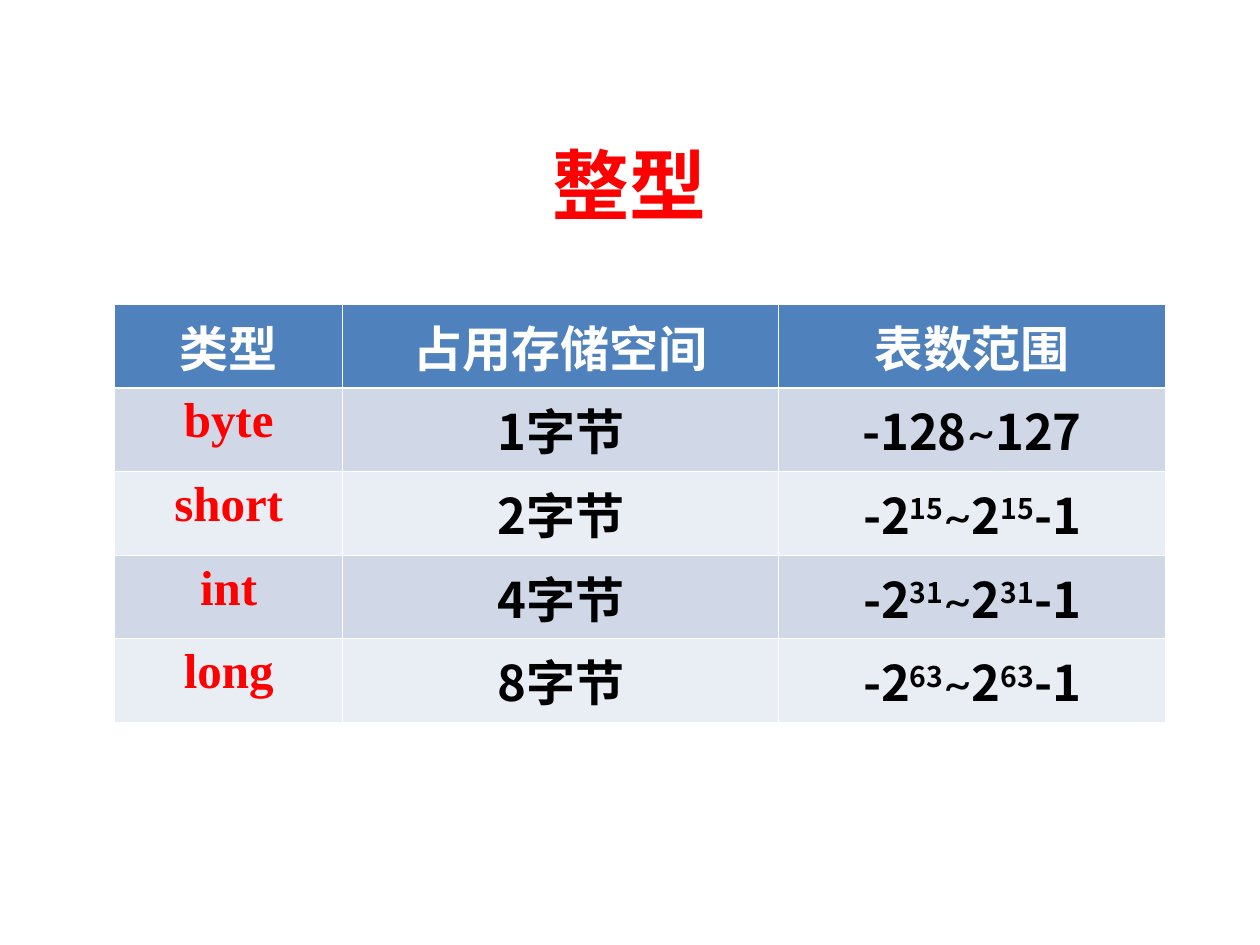
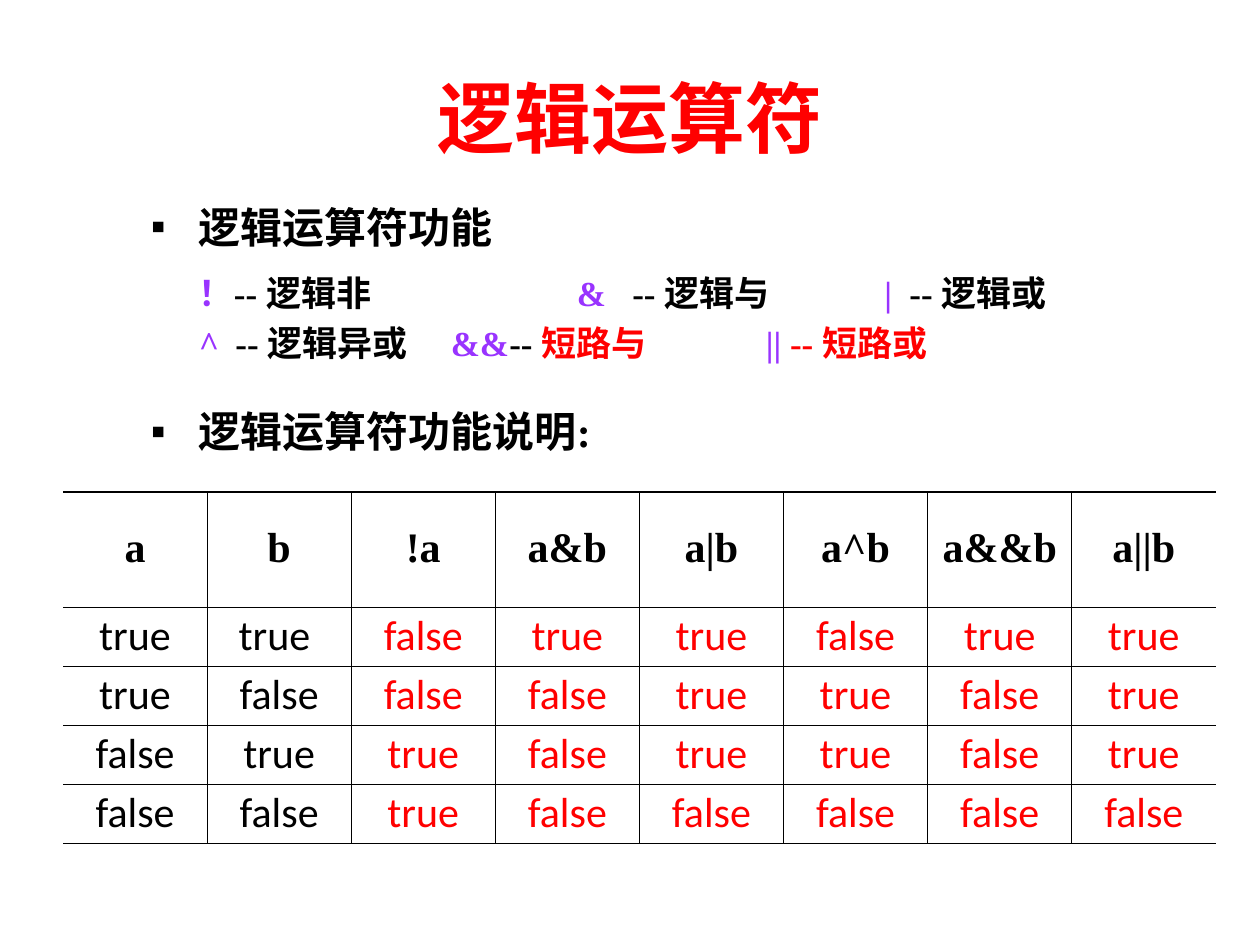
from collections import namedtuple
from lxml.etree import SubElement
from pptx import Presentation
from pptx.dml.color import RGBColor
from pptx.enum.text import MSO_ANCHOR as Anchor, PP_ALIGN as Align
from pptx.oxml.ns import qn
from pptx.util import Inches, Pt

COLORS = {
    "white": "FFFFFF", "black": "000000", "red": "FF0000", "purple": "9933FF",
    "header": "4F81BD", "odd": "D0D8E8", "even": "E9EDF4",
}
CJK, SERIF = "Noto Sans CJK SC", "Times New Roman"

# Run styles: font attributes, colour and superscript
STYLES = {
    "title": dict(name="TeX Gyre Pagella", size=44, bold=True, color="red"),
    "type header": dict(name=CJK, size=28, bold=True, color="white"),
    "type name": dict(name=SERIF, size=28, bold=True, color="red"),
    "type value": dict(name=CJK, size=28, bold=True, color="black"),
    "exponent": dict(name=CJK, size=28, bold=True, color="black", raised=True),
    "tilde": dict(name="Lato", size=28, bold=False, color="black"),
    "topic": dict(name=SERIF, size=24, bold=True, color="black"),
    "operator": dict(name=SERIF, size=20, bold=True, color="purple"),
    "meaning": dict(name=SERIF, size=20, bold=True, color="black"),
    "short circuit": dict(name=SERIF, size=20, bold=True, color="red"),
    "input": dict(name="Calibri", size=24, bold=False, color="black"),
    "result": dict(name="Calibri", size=24, bold=False, color="red"),
}

# The slide is a grid of 100 columns and 75 rows
SLIDE_WIDTH, SLIDE_HEIGHT = Inches(10), Inches(7.5)
COLUMN, ROW = SLIDE_WIDTH / 100, SLIDE_HEIGHT / 75
Box = namedtuple("Box", "left top width height")


def place(box):
    """Turn a box in grid units into slide lengths."""
    return [round(value * unit) for value, unit in zip(box, (COLUMN, ROW) * 2)]


def rgb(name):
    return RGBColor.from_string(COLORS[name])


# Text
def add_runs(paragraph, runs):
    for text, style in runs:
        run = paragraph.add_run()
        run.text = text
        values = dict(STYLES[style])
        run.font.color.rgb = rgb(values.pop("color"))
        properties = run._r.get_or_add_rPr()
        if values.pop("raised", False):
            properties.set("baseline", "30000")
        values["size"] = Pt(values["size"])
        for attribute, value in values.items():
            setattr(run.font, attribute, value)
        SubElement(properties, qn("a:ea"), typeface=CJK)


def add_bullet(paragraph, character, indent):
    properties = paragraph._p.get_or_add_pPr()
    properties.set("marL", str(Inches(indent)))
    properties.set("indent", str(-Inches(indent)))
    color = SubElement(properties, qn("a:buClr"))
    SubElement(color, qn("a:srgbClr"), val=COLORS["black"])
    SubElement(properties, qn("a:buFont"), typeface=SERIF)
    SubElement(properties, qn("a:buChar"), char=character)


def add_tab_stops(paragraph, positions):
    stops = SubElement(paragraph._p.get_or_add_pPr(), qn("a:tabLst"))
    for position in positions:
        SubElement(stops, qn("a:tab"), pos=str(Inches(position)), algn="l")


def add_title_slide(presentation, title, box):
    slide = presentation.slides.add_slide(presentation.slide_layouts[5])
    shape = slide.shapes.title
    shape.left, shape.top, shape.width, shape.height = place(box)
    shape.text_frame.vertical_anchor = Anchor.MIDDLE
    paragraph = shape.text_frame.paragraphs[0]
    paragraph.alignment = Align.CENTER
    add_runs(paragraph, [(title, "title")])
    return slide


# Tables
def set_borders(cell, borders):
    """Draw the sides given as (colour, points); None means no line."""
    properties = cell._tc.get_or_add_tcPr()
    for side in "LRTB":
        color, points = borders[side] or (None, 0)
        line = SubElement(properties, qn(f"a:ln{side}"), w=str(Pt(points)))
        if color:
            fill = SubElement(line, qn("a:solidFill"))
            SubElement(fill, qn("a:srgbClr"), val=COLORS[color])
        else:
            SubElement(line, qn("a:noFill"))


def add_grid_table(slide, box, rows, widths, heights, format_cell):
    """Widths and heights are shares of the box; cells hold lists of runs."""
    left, top, width, height = place(box)
    table = slide.shapes.add_table(len(rows), len(widths), left, top, width, height).table
    table.first_row = table.horz_banding = False
    for column, share in zip(table.columns, widths):
        column.width = round(width * share / sum(widths))
    for row, share in zip(table.rows, heights):
        row.height = round(height * share / sum(heights))
    for row_index, row in enumerate(rows):
        for column_index, runs in enumerate(row):
            cell = table.cell(row_index, column_index)
            paragraph = cell.text_frame.paragraphs[0]
            paragraph.alignment = Align.CENTER
            add_runs(paragraph, runs)
            format_cell(cell, row_index, column_index)


# Integer types
def power_range(exponent):
    return [("-2", "type value"), (exponent, "exponent"), ("~", "tilde"),
            ("2", "type value"), (exponent, "exponent"), ("-1", "type value")]


def format_type_cell(cell, row, column):
    thin, thick = ("white", 0.45), ("white", 1.47)
    set_borders(cell, {"L": thin, "R": thin, "T": thick if row == 1 else thin,
                       "B": thick if row == 0 else thin})
    cell.fill.solid()
    cell.fill.fore_color.rgb = rgb("header" if row == 0 else "odd" if row % 2 else "even")


def add_type_table(slide, box):
    byte_range = [("-128", "type value"), ("~", "tilde"), ("127", "type value")]
    types = [("byte", "1字节", byte_range), ("short", "2字节", power_range("15")),
             ("int", "4字节", power_range("31")), ("long", "8字节", power_range("63"))]
    rows = [[[(text, "type header")] for text in ("类型", "占用存储空间", "表数范围")]]
    rows += [[[(name, "type name")], [(size, "type value")], limits]
             for name, size, limits in types]
    add_grid_table(slide, box, rows, (1.81, 3.46, 3.07), [1] * 5, format_type_cell)


# Logical operators
def add_operator_list(slide, box):
    indent = 0.38
    lines = [
        dict(runs=[("逻辑运算符功能", "topic")]),
        dict(before=11, tabs=(indent, 3.38, 3.82, 5.82, 6.02), runs=[
            ("\t！", "operator"), ("-- 逻辑非\t", "meaning"),
            ("&", "operator"), ("\t-- 逻辑与\t", "meaning"),
            ("|", "operator"), ("\t-- 逻辑或", "meaning")]),
        dict(before=5, tabs=(indent, 0.67, 2.38, 4.88), runs=[
            ("\t^", "operator"), ("\t-- 逻辑异或\t", "meaning"),
            ("&&", "operator"), ("-- ", "meaning"), ("短路与\t", "short circuit"),
            ("|| ", "operator"), ("-- 短路或", "short circuit")]),
        dict(before=24, runs=[("逻辑运算符功能说明:", "topic")]),
    ]
    frame = slide.shapes.add_textbox(*place(box)).text_frame
    frame.word_wrap = True
    for index, line in enumerate(lines):
        paragraph = frame.add_paragraph() if index else frame.paragraphs[0]
        if "tabs" in line:
            add_tab_stops(paragraph, line["tabs"])
        else:
            add_bullet(paragraph, "▪", indent)
        paragraph.space_before = Pt(line.get("before", 0))
        add_runs(paragraph, line["runs"])


def format_truth_cell(cell, row, column):
    thin, thick = ("black", 0.45), ("black", 1.08)
    set_borders(cell, {"L": thin if column > 0 else None,
                       "R": thin if column < 7 else None,
                       "T": thick if row == 0 else thin,
                       "B": thick if row == 4 else thin})
    cell.fill.background()
    cell.vertical_anchor = Anchor.MIDDLE
    cell.text_frame.paragraphs[0].line_spacing = 0.9


def add_truth_table(slide, box):
    headers = ("a", "b", "!a", "a&b", "a|b", "a^b", "a&&b", "a||b")
    rows = [[[(text, "topic")] for text in headers]]
    for a in (True, False):
        for b in (True, False):
            values = (a, b, not a, a and b, a or b, a != b, a and b, a or b)
            rows.append([[(str(value).lower(), "input" if index < 2 else "result")]
                         for index, value in enumerate(values)])
    rows[1][1] = [("true ", "input")]
    add_grid_table(slide, box, rows, [1] * 8, (0.92, 0.47, 0.47, 0.47, 0.47),
                   format_truth_cell)


def main():
    presentation = Presentation()
    presentation.slide_width, presentation.slide_height = SLIDE_WIDTH, SLIDE_HEIGHT

    slide = add_title_slide(presentation, "整型", Box(7.5, 8.3, 85, 12.5))
    add_type_table(slide, Box(9.1, 24.15, 83.4, 33.2))

    slide = add_title_slide(presentation, "逻辑运算符", Box(5, 3, 90, 12.5))
    add_operator_list(slide, Box(11, 15.5, 78, 24.8))
    add_truth_table(slide, Box(5, 39.05, 91.5, 27.9))

    presentation.save("out.pptx")


if __name__ == "__main__":
    main()
